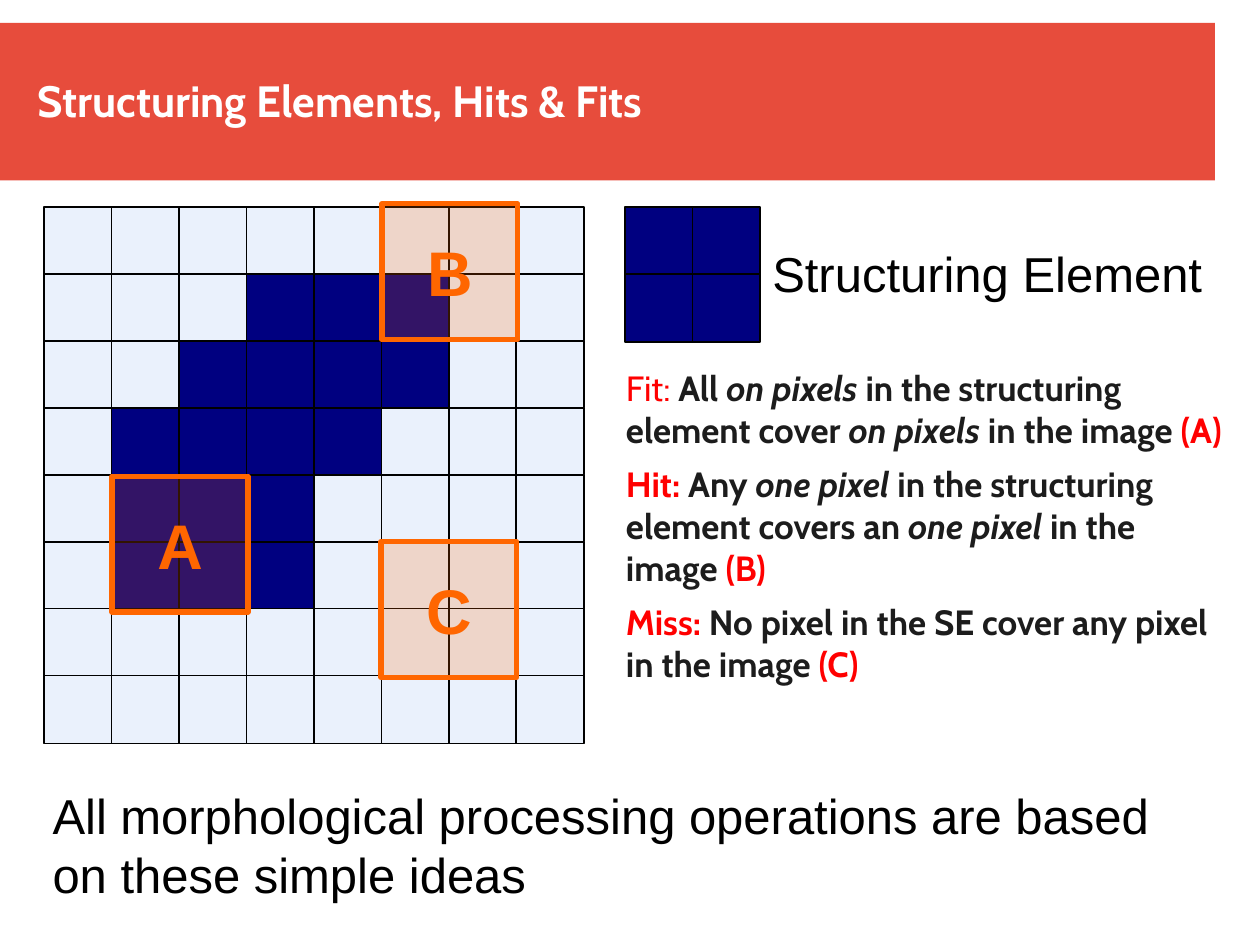
import pptx
import pptx.dml.color
import pptx.enum.shapes
import pptx.enum.text
import pptx.oxml
import pptx.util
from pptx.util import Cm


def color(value):
    return pptx.dml.color.RGBColor.from_string(value)


def add_rectangle(left, top, width, height, fill, line=None, weight=1):
    shape = slide.shapes.add_shape(
        pptx.enum.shapes.MSO_SHAPE.RECTANGLE, Cm(left), Cm(top), Cm(width), Cm(height))
    shape.shadow.inherit = False
    shape.fill.solid()
    shape.fill.fore_color.rgb = color(fill)
    if line:
        shape.line.color.rgb = color(line)
        shape.line.width = pptx.util.Pt(weight)
    else:
        shape.line.fill.background()
    return shape


presentation = pptx.Presentation()
presentation.slide_width = Cm(25.4)
presentation.slide_height = Cm(19.05)
slide = presentation.slides.add_slide(presentation.slide_layouts[6])

NAVY, PALE, ORANGE, RED, DARK = "000080", "EAF1FC", "FF6600", "FF0000", "1C1C1C"
BLACK, WHITE = "000000", "FFFFFF"
CELL, COLUMN_STEP, ROW_STEP = 1.37, 1.36, 1.35

add_rectangle(0, 0.46, 24.49, 3.18, "E74C3C")

pixel_rows = [
    "........",
    "...###..",
    "..####..",
    ".####...",
    ".###....",
    ".###....",
    "........",
    "........",
]
element_rows = ["##", "##"]
for grid_left, rows in [(0.89, pixel_rows), (12.6, element_rows)]:
    for row, pixels in enumerate(rows):
        for column, pixel in enumerate(pixels):
            add_rectangle(grid_left + column * COLUMN_STEP, 4.17 + row * ROW_STEP,
                          CELL, CELL, NAVY if pixel == "#" else PALE, BLACK)

for letter, left, top in [("B", 7.7, 4.11), ("A", 2.26, 9.6), ("C", 7.68, 10.92)]:
    shape = add_rectangle(left, top, 2.74, 2.74, ORANGE, ORANGE, 3)
    fill_color = shape.fill._xPr.solidFill[0]
    fill_color.append(pptx.oxml.parse_xml(
        '<a:alpha xmlns:a="http://schemas.openxmlformats.org/drawingml/2006/main" val="20000"/>'))
    shape.text_frame.word_wrap = False
    shape.text_frame.vertical_anchor = pptx.enum.text.MSO_ANCHOR.MIDDLE
    paragraph = shape.text_frame.paragraphs[0]
    paragraph.text = letter
    paragraph.alignment = pptx.enum.text.PP_ALIGN.CENTER
    paragraph.font.name = "Arial"
    paragraph.font.size = pptx.util.Pt(36)
    paragraph.font.bold = True
    paragraph.font.color.rgb = color(ORANGE)

for text, left, top, width, height, font_name, size, ink, wrap in [
    ("Structuring Element", 15.32, 4.78, 9.17, 1.45, "Arial", 28, BLACK, False),
    ("All morphological processing operations are based on these simple ideas",
     0.81, 15.72, 23.85, 2.82, "Arial", 28, BLACK, True),
    ("Structuring Elements, Hits & Fits", 0.76, 1.24, 16.84, 1.3, "Cabin", 25, WHITE, True),
]:
    shape = slide.shapes.add_textbox(Cm(left), Cm(top), Cm(width), Cm(height))
    frame = shape.text_frame
    frame.word_wrap = wrap
    paragraph = frame.paragraphs[0]
    paragraph.text = text
    paragraph.font.name = font_name
    paragraph.font.size = pptx.util.Pt(size)
    paragraph.font.color.rgb = color(ink)

title_frame = frame
title_frame.paragraphs[0].font.bold = True
title_frame.vertical_anchor = pptx.enum.text.MSO_ANCHOR.BOTTOM
title_frame.margin_left = title_frame.margin_right = 0
title_frame.margin_top = title_frame.margin_bottom = 0

definitions = [
    [("Fit: ", RED, False, False), ("All ", DARK, True, False),
     ("on pixels", DARK, True, True),
     (" in the structuring element cover ", DARK, True, False),
     ("on pixels", DARK, True, True), (" in the image ", DARK, True, False),
     ("(A)", RED, True, False)],
    [("Hit:", RED, True, False), (" Any ", DARK, True, False),
     ("one pixel", DARK, True, True),
     (" in the structuring element covers an ", DARK, True, False),
     ("one pixel", DARK, True, True), (" in the image ", DARK, True, False),
     ("(B)", RED, True, False)],
    [("Miss: ", RED, True, False),
     ("No pixel in the SE cover any pixel in the image ", DARK, True, False),
     ("(C)", RED, True, False)],
]
shape = slide.shapes.add_textbox(Cm(12.37), Cm(7.26), Cm(12.65), Cm(7.82))
frame = shape.text_frame
frame.word_wrap = True
for index, definition in enumerate(definitions):
    paragraph = frame.add_paragraph() if index else frame.paragraphs[0]
    if index:
        paragraph.space_before = pptx.util.Pt(7)
    paragraph.font.name = "Cabin"
    paragraph.font.size = pptx.util.Pt(20)
    for text, ink, bold, italic in definition:
        run = paragraph.add_run()
        run.text = text
        run.font.color.rgb = color(ink)
        run.font.bold = bold
        run.font.italic = italic

presentation.save("out.pptx")
